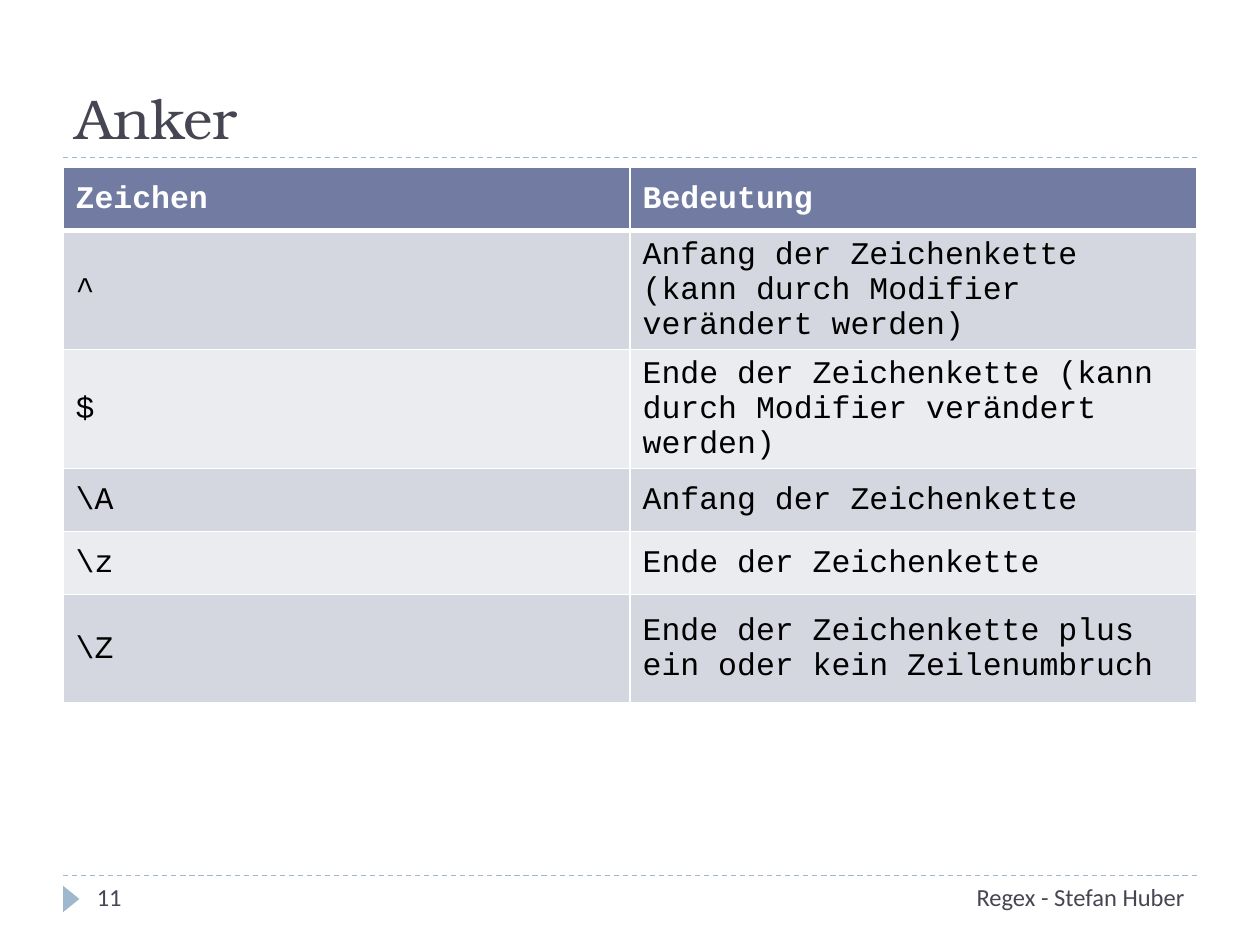
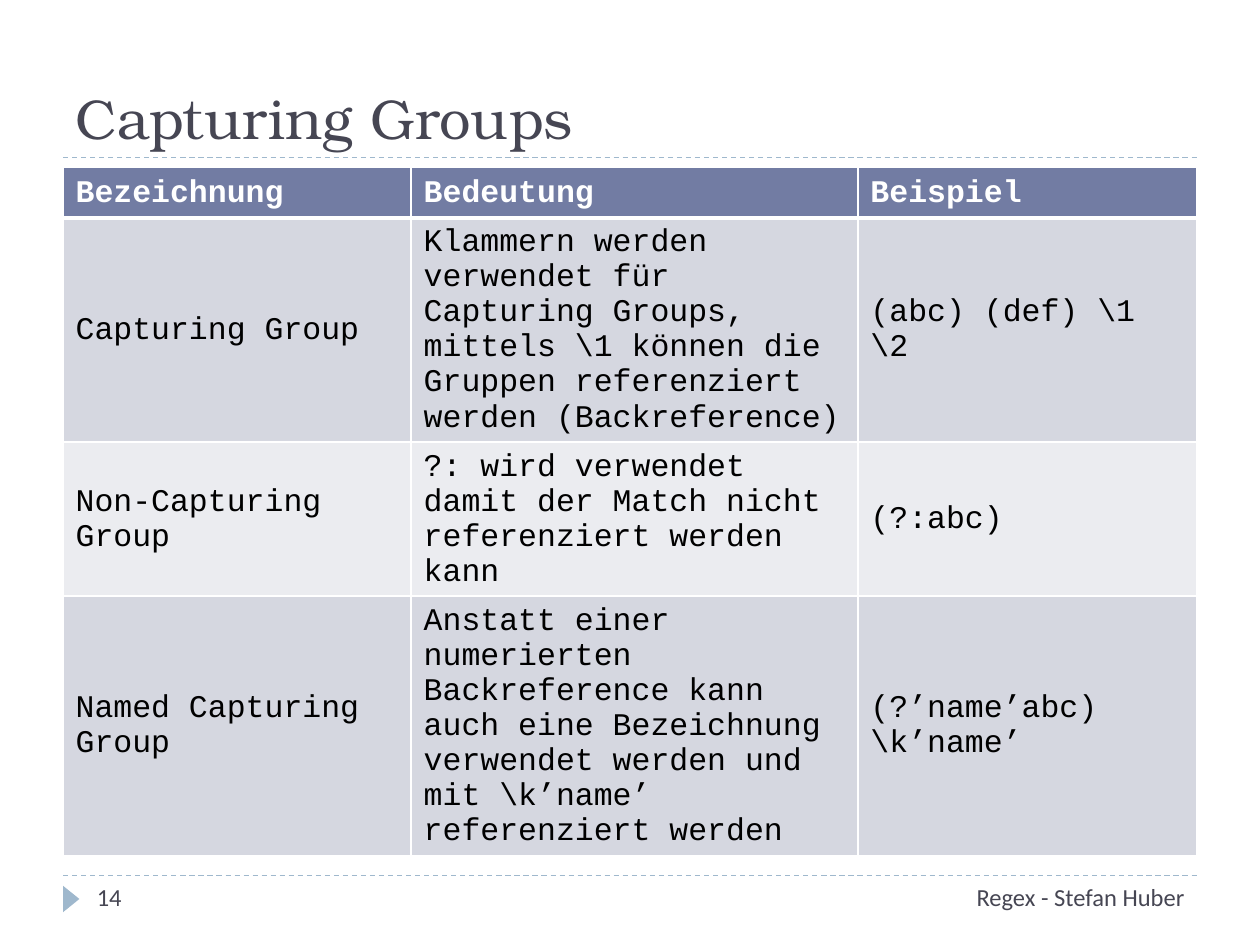
from lxml import etree
from pptx import Presentation
from pptx import util as u
from pptx.dml.color import RGBColor
from pptx.enum import dml, shapes, text
from pptx.oxml import ns

COLORS = {
    "ink": "464653", "accent": "9FB8CD", "header": "727CA3",
    "odd": "D5D7E0", "even": "EBECF0", "white": "FFFFFF", "black": "000000",
}
TITLE_FONT, CODE_FONT, FOOTER_FONT = "TeX Gyre Bonum", "Courier New", "Calibri"

# Shared page geometry in inches
WIDTH, HEIGHT = 10, 7.5
MARGIN = 0.05 * WIDTH
CONTENT_W = WIDTH - 2 * MARGIN
TITLE_RULE_Y, FOOTER_Y, TABLE_Y = 1.25, 6.95, 1.33

FOOTER = "Regex - Stefan Huber"

ANCHORS = {
    "number": 11,
    "title": "Anker",
    "shares": [0.5, 0.5],
    "heights": [0.5, 0.93, 0.94, 0.5, 0.5, 0.86],
    "rows": [
        ["Zeichen", "Bedeutung"],
        ["^", "Anfang der Zeichenkette (kann durch Modifier verändert werden)"],
        ["$", "Ende der Zeichenkette (kann durch Modifier verändert werden)"],
        [r"\A", "Anfang der Zeichenkette"],
        [r"\z", "Ende der Zeichenkette"],
        [r"\Z", "Ende der Zeichenkette plus ein oder kein Zeilenumbruch"],
    ],
}
GROUPS = {
    "number": 14,
    "title": "Capturing Groups",
    "shares": [0.307, 0.394, 0.299],
    "heights": [0.4, 1.78, 1.22, 2.04],
    "rows": [
        ["Bezeichnung", "Bedeutung", "Beispiel"],
        ["Capturing Group",
         r"Klammern werden verwendet für Capturing Groups, mittels \1 können "
         "die Gruppen referenziert werden (Backreference)",
         r"(abc) (def) \1 \2"],
        ["Non-Capturing Group",
         "?: wird verwendet damit der Match nicht referenziert werden kann",
         "(?:abc)"],
        ["Named Capturing Group",
         "Anstatt einer numerierten Backreference kann auch eine Bezeichnung "
         r"verwendet werden und mit \k’name’ referenziert werden",
         r"(?’name’abc) \k’name’"],
    ],
}


def rgb(name):
    return RGBColor.from_string(COLORS[name])


def box(*lengths):
    return [u.Inches(length) for length in lengths]


def write(tf, words, font, size, color="ink", bold=False,
          align=text.PP_ALIGN.LEFT, spacing=None):
    """Write one formatted paragraph into a text frame."""
    tf.word_wrap = True
    p = tf.paragraphs[0]
    p.alignment = align
    if spacing:
        p.line_spacing = spacing
    r = p.add_run()
    r.text = words
    r.font.name, r.font.size, r.font.bold = font, u.Pt(size), bold
    r.font.color.rgb = rgb(color)


def add_rule(s, y):
    """Draw a dashed rule across the content width."""
    line = s.shapes.add_connector(shapes.MSO_CONNECTOR.STRAIGHT,
                                  *box(MARGIN, y, WIDTH - MARGIN, y))
    line.line.color.rgb = rgb("accent")
    line.line.width = u.Pt(0.75)
    line.line.dash_style = dml.MSO_LINE.DASH
    etree.SubElement(line._element.spPr, ns.qn("a:effectLst"))


def add_title(s, words):
    sp = s.shapes.title
    sp.left, sp.top, sp.width, sp.height = box(
        MARGIN, 0.17, CONTENT_W, TITLE_RULE_Y - 0.17)
    tf = sp.text_frame
    tf.auto_size = text.MSO_AUTO_SIZE.NONE
    tf.vertical_anchor = text.MSO_ANCHOR.BOTTOM
    write(tf, words, TITLE_FONT, 32)


def add_footer_text(s, words, left, width, align=text.PP_ALIGN.LEFT):
    sp = s.shapes.add_textbox(*box(left, FOOTER_Y, width, 0.4))
    write(sp.text_frame, words, FOOTER_FONT, 14, align=align)


def add_marker(s):
    """Draw the triangle that points at the slide number."""
    sp = s.shapes.add_shape(shapes.MSO_SHAPE.ISOSCELES_TRIANGLE,
                            *box(0.46, 7.07, 0.21, 0.13))
    sp.rotation = 90
    sp.shadow.inherit = False
    sp.fill.solid()
    sp.fill.fore_color.rgb = rgb("accent")
    sp.line.fill.background()


def set_borders(cell, **widths):
    """Give a cell white borders; widths in points by side L, R, T, B."""
    tc_pr = cell._tc.get_or_add_tcPr()
    for side in "LRTB":
        ln = etree.SubElement(tc_pr, ns.qn("a:ln" + side),
                              w=str(u.Pt(widths.get(side, 1))))
        fill = etree.SubElement(ln, ns.qn("a:solidFill"))
        etree.SubElement(fill, ns.qn("a:srgbClr"), val=COLORS["white"])


def format_cell(cell, words, row):
    header = row == 0
    cell.vertical_anchor = text.MSO_ANCHOR.MIDDLE
    cell.margin_top, cell.margin_bottom = box(0.06, 0.05)
    set_borders(cell, B=3 if header else 1, T=3 if row == 1 else 1)
    cell.fill.solid()
    cell.fill.fore_color.rgb = rgb("header" if header else
                                   "odd" if row % 2 else "even")
    write(cell.text_frame, words, CODE_FONT, 18, bold=header,
          color="white" if header else "black", spacing=0.98)


def add_grid(s, rows, shares, heights):
    """Add a banded table; column widths are shares of the content width."""
    table = s.shapes.add_table(
        len(rows), len(shares),
        *box(MARGIN, TABLE_Y, CONTENT_W, sum(heights))).table
    for column, share in zip(table.columns, shares):
        column.width = u.Inches(share * CONTENT_W)
    for i, (words, height) in enumerate(zip(rows, heights)):
        table.rows[i].height = u.Inches(height)
        for j, entry in enumerate(words):
            format_cell(table.cell(i, j), entry, i)


def add_page(prs, page):
    s = prs.slides.add_slide(prs.slide_layouts.get_by_name("Title Only"))
    # Frame
    for y in (FOOTER_Y, TITLE_RULE_Y):
        add_rule(s, y)
    add_marker(s)
    # Content
    add_title(s, page["title"])
    add_grid(s, page["rows"], page["shares"], page["heights"])
    # Footer
    add_footer_text(s, FOOTER, 0.7 * WIDTH, 0.25 * WIDTH,
                    align=text.PP_ALIGN.RIGHT)
    add_footer_text(s, str(page["number"]), 0.67, 2.17)


def main():
    prs = Presentation()
    prs.slide_width, prs.slide_height = box(WIDTH, HEIGHT)
    for page in (ANCHORS, GROUPS):
        add_page(prs, page)
    prs.save("out.pptx")


if __name__ == "__main__":
    main()
